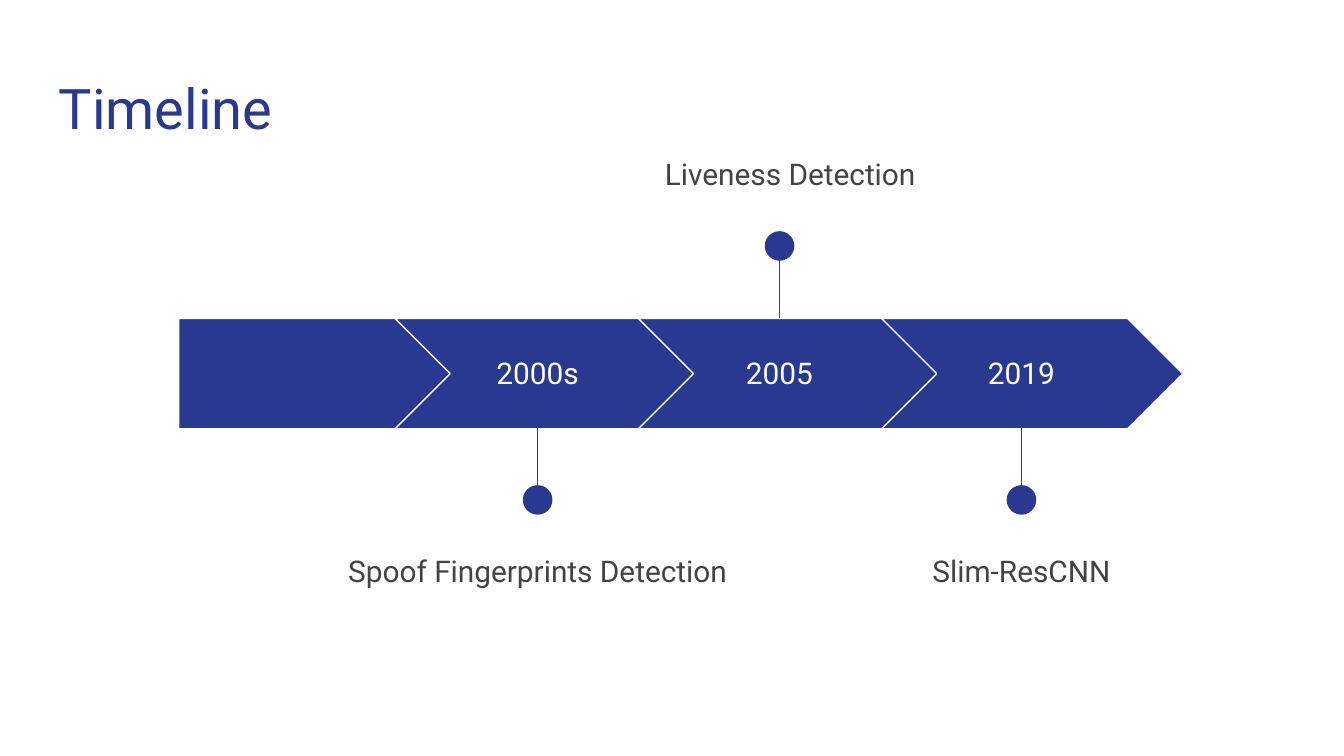
from lxml import etree
from pptx import Presentation
from pptx.dml.color import RGBColor
from pptx.enum import shapes, text
from pptx.oxml.ns import qn
from pptx.util import Inches, Pt

NAVY = RGBColor(0x2A, 0x39, 0x90)
GREY = RGBColor(0x43, 0x43, 0x43)
WHITE = RGBColor(0xFF, 0xFF, 0xFF)

# year, label, label center, label width, label height, whether the pin points up;
# the label center is measured from the left end of the timeline
MILESTONES = [
    ("2000s", "Spoof Fingerprints Detection", 2.67, 3.05, 0.42, False),
    ("2005", "Liveness Detection", 4.55, 2.2, 0.46, True),
    ("2019", "Slim-ResCNN", 6.27, 1.82, 0.51, False),
]
CHEVRON_PITCH = 1.81
PIN_PITCH = 1.8
LABEL_FORMAT = {"line_spacing": 1.15, "space_after": Pt(16)}


def add_text(s, words, x, y, w, h, size, color, anchor=text.MSO_ANCHOR.TOP,
             align=text.PP_ALIGN.CENTER, **paragraph_format):
    tf = s.shapes.add_textbox(Inches(x), Inches(y), Inches(w), Inches(h)).text_frame
    frame_format = {"word_wrap": True, "vertical_anchor": anchor}
    for side in ("left", "right", "top", "bottom"):
        frame_format[f"margin_{side}"] = Inches(0.1)
    for name, value in frame_format.items():
        setattr(tf, name, value)
    p = tf.paragraphs[0]
    for name, value in {"alignment": align, **paragraph_format}.items():
        setattr(p, name, value)
    r = p.add_run()
    r.text = words
    for name, value in {"name": "Roboto", "size": Pt(size)}.items():
        setattr(r.font, name, value)
    r.font.color.rgb = color


def add_filled(s, kind, x, y, w, h, outline=None):
    sp = s.shapes.add_shape(kind, Inches(x), Inches(y), Inches(w), Inches(h))
    sp.shadow.inherit = False
    sp.fill.solid()
    sp.fill.fore_color.rgb = NAVY
    if outline is None:
        sp.line.fill.background()
    else:
        sp.line.color.rgb = outline
        sp.line.width = Pt(0.75)


def add_pin(s, x, edge, up):
    """Draw a stem from the band edge, with a dot near its far end."""
    length, dot = 0.6, 0.22
    direction = -1 if up else 1
    line = s.shapes.add_connector(
        shapes.MSO_CONNECTOR.STRAIGHT, Inches(x), Inches(edge + direction * length),
        Inches(x), Inches(edge))
    line.line.color.rgb = GREY
    line.line.width = Pt(0.75)
    etree.SubElement(line._element.spPr, qn("a:effectLst"))
    center = edge + direction * 0.54
    add_filled(s, shapes.MSO_SHAPE.OVAL, x - dot / 2, center - dot / 2, dot, dot)


def add_milestone(s, milestone, x, y, h, index):
    year, label, label_center, label_w, label_h, up = milestone
    add_filled(s, shapes.MSO_SHAPE.CHEVRON, x + 1.61 + index * CHEVRON_PITCH, y,
               2.24, h, WHITE)
    center = x + 2.67 + index * PIN_PITCH
    year_w, year_h = 1.44, 0.51
    add_text(s, year, center - year_w / 2, y + 0.15, year_w, year_h,
             16, WHITE, text.MSO_ANCHOR.MIDDLE)
    add_pin(s, center, y if up else y + h - 0.01, up)
    add_text(s, label, x + label_center - label_w / 2, y - 1.35 if up else y + 1.6,
             label_w, label_h, 16, GREY, **LABEL_FORMAT)


def add_timeline(s, x, y, h):
    add_filled(s, shapes.MSO_SHAPE.PENTAGON, x, y, 2.05, h, WHITE)
    for i, milestone in enumerate(MILESTONES):
        add_milestone(s, milestone, x, y, h, i)


def main():
    prs = Presentation()
    prs.slide_width = Inches(10)
    prs.slide_height = prs.slide_width * 9 // 16
    s = prs.slides.add_slide(prs.slide_layouts[6])
    add_timeline(s, 1.33, 2.37, 0.82)
    add_text(s, "Timeline", 0.34, 0.45, 9.32, 0.66, 30, NAVY, align=text.PP_ALIGN.LEFT)
    prs.save("out.pptx")


if __name__ == "__main__":
    main()
